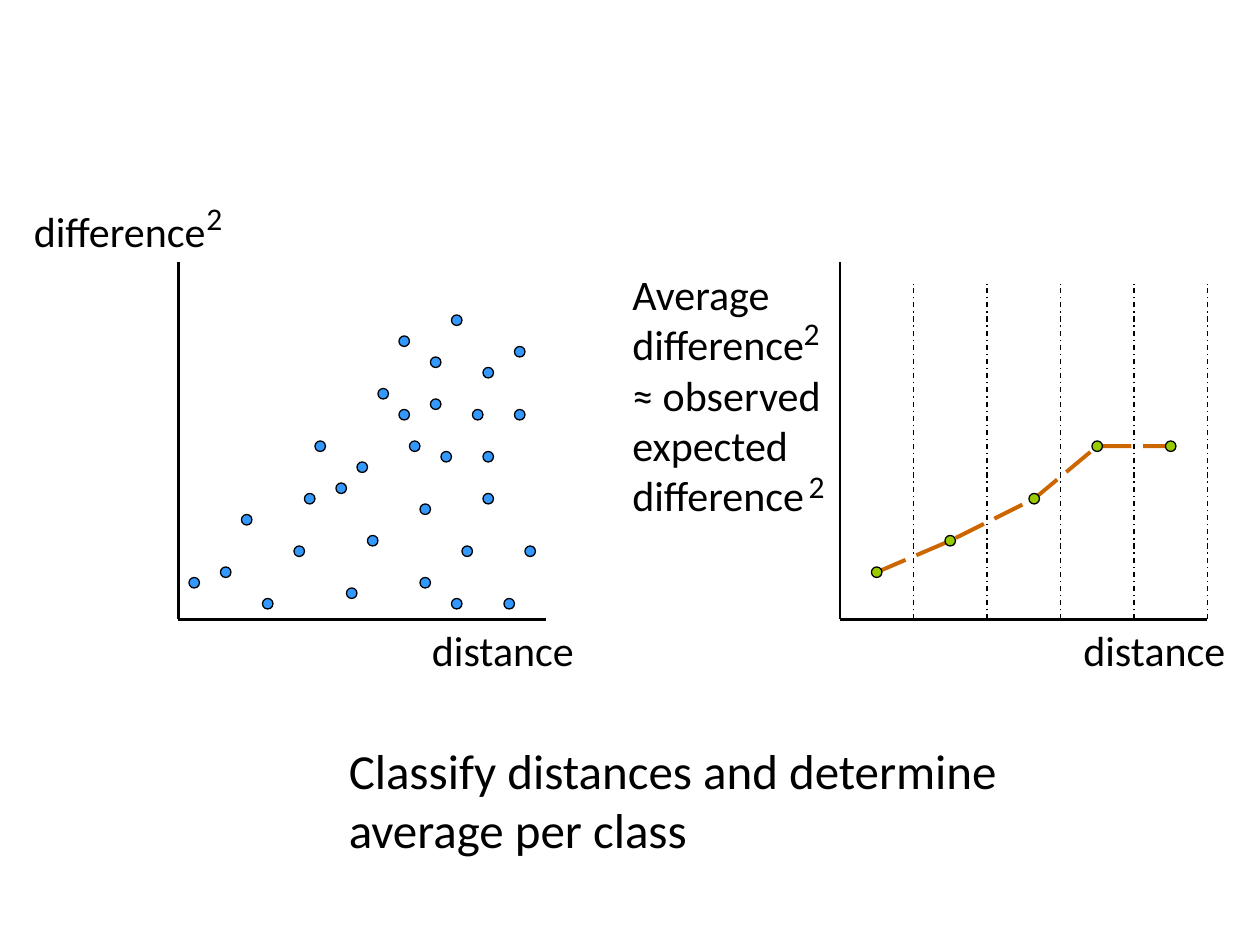
from pptx import Presentation, util as u
from pptx.dml.color import RGBColor
from pptx.enum import dml, shapes, text
from pptx.oxml.ns import qn
from lxml import etree

COLORS = {"ink": "000000", "pair": "3399FF", "mean": "99CC00", "curve": "CC6600"}
DASH = dml.MSO_LINE
UNIT = 12  # grid steps per inch

PAIRS = [(23, 49), (38, 32), (30, 42), (29, 47), (36, 37), (43, 30), (41, 34),
         (28, 52), (33, 56), (40, 55), (34, 44), (21, 54), (18, 55), (38, 39),
         (39, 42), (42, 43), (41, 38), (46, 47), (49, 33), (46, 43), (49, 39),
         (40, 48), (45, 39), (35, 51), (44, 52), (48, 57), (43, 57), (46, 35),
         (32, 46), (50, 52), (25, 57)]
MEANS = [(83, 54), (90, 51), (98, 47), (104, 42), (111, 42)]
TOP, BASE, SPAN = 25, 59, 35
LEFT, RIGHT = 17, 80
CLASS = 7  # width of one distance class


def grid(n):
    return u.Inches(n / UNIT)


def tint(name):
    return RGBColor.from_string(COLORS[name])


class Board:
    """Holds the style and the slide being drawn."""

    font = "Calibri"

    def __init__(self, slide):
        self.shapes = slide.shapes

    def pen(self, shape, color, width, dash=None):
        shape.line.color.rgb = tint(color)
        for key, value in {"width": u.Pt(width), "dash_style": dash}.items():
            setattr(shape.line, key, value)

    def line(self, start, end, width, dash=None):
        item = self.shapes.add_connector(
            shapes.MSO_CONNECTOR.STRAIGHT, *map(grid, start + end))
        self.pen(item, "ink", width, dash)
        etree.SubElement(item._element.spPr, qn("a:effectLst"))

    def axes(self, x):
        self.line((x, TOP), (x, BASE), 1.5)
        self.line((x, BASE), (x + SPAN, BASE), 1.5)

    def dot(self, x, y, color):
        item = self.shapes.add_shape(
            shapes.MSO_SHAPE.OVAL, grid(x), grid(y), grid(1), grid(1))
        item.shadow.inherit = False
        item.fill.solid()
        item.fill.fore_color.rgb = tint(color)
        self.pen(item, "ink", 0.75)

    def curve(self, dots):
        """Join the centres of the dots with a dashed open path."""
        mids = [(grid(x + 0.5), grid(y + 0.5)) for x, y in dots]
        path = self.shapes.build_freeform(*mids[0])
        path.add_line_segments(mids[1:], close=False)
        item = path.convert_to_shape()
        item.shadow.inherit = False
        item.fill.background()
        self.pen(item, "curve", 2.25, DASH.LONG_DASH)

    def label(self, words, box, size=24, wrap=False):
        item = self.shapes.add_textbox(*map(u.Inches, box))
        frame = item.text_frame
        frame.word_wrap = wrap
        frame.auto_size = text.MSO_AUTO_SIZE.SHAPE_TO_FIT_TEXT
        para = frame.paragraphs[0]
        para.text = words
        for run in para.runs:
            for key, value in {"name": self.font, "size": u.Pt(size)}.items():
                setattr(run.font, key, value)
            run.font.color.rgb = tint("ink")


def main():
    deck = Presentation()
    deck.slide_width, deck.slide_height = u.Inches(10), u.Inches(7.5)
    board = Board(deck.slides.add_slide(deck.slide_layouts[6]))

    board.curve(MEANS)

    board.axes(LEFT)
    board.label("distance", (3.33, 4.91, 1.34, 0.5))
    board.label("difference", (0.17, 1.58, 1.59, 0.5))
    for x, y in PAIRS:
        board.dot(x, y, "pair")

    board.axes(RIGHT)
    board.label("distance", (8.5, 4.91, 1.34, 0.5))
    board.label("Classify distances and determine average per class",
                (2.67, 5.83, 5.4, 1.04), 28, True)
    for x in range(RIGHT + CLASS, RIGHT + SPAN + 1, CLASS):
        board.line((x, BASE), (x, TOP + 2), 0.75, DASH.DASH_DOT)
    for x, y in MEANS:
        board.dot(x, y, "mean")
    board.label("Average\vdifference\v≈ observed\vexpected\vdifference",
                (4.92, 2.08, 2.01, 2.12), wrap=True)

    for x, y in [(1.54, 1.53), (6.28, 2.44), (6.32, 3.66)]:
        board.label("2", (x, y, 0.33, 0.4), 18)

    deck.save("out.pptx")


if __name__ == "__main__":
    main()
